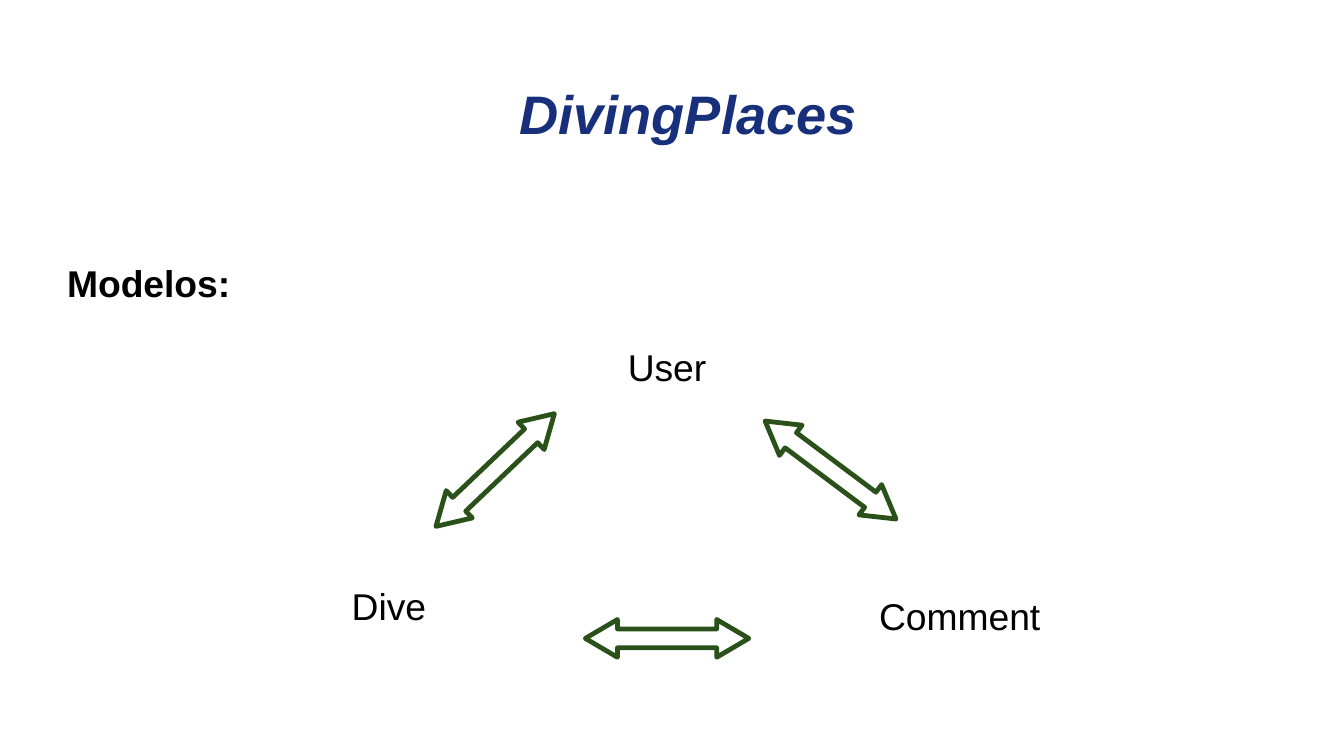
from pptx import Presentation
from pptx.dml.color import RGBColor
from pptx.enum.shapes import MSO_SHAPE
from pptx.enum.text import MSO_ANCHOR, MSO_AUTO_SIZE, PP_ALIGN
from pptx.util import Pt

NAVY = RGBColor(0x18, 0x2F, 0x7C)
GREEN = RGBColor(0x2B, 0x51, 0x1A)
BLACK = RGBColor(0, 0, 0)

CENTER = PP_ALIGN.CENTER
TOP, MIDDLE = MSO_ANCHOR.TOP, MSO_ANCHOR.MIDDLE
NO_AUTOFIT = MSO_AUTO_SIZE.NONE
DOUBLE_ARROW = MSO_SHAPE.LEFT_RIGHT_ARROW
TITLE_ONLY = 5

LABEL_SIZE = (175.7, 38.2)
ARROW_SIZE = (96.5, 22.3)

LABELS = [
    ("Modelos:", 0, 147.6, True),
    ("User", 306, 197.3, False),
    ("Dive", 141.8, 338.4, False),
    ("Comment", 478.8, 344.2, False),
]
ARROWS = [(345.6, 365.8, 0), (244.1, 266.4, 316.4), (442.1, 266.4, 36.8)]


class SlideBuilder:
    def __init__(self, page, font_name):
        self.page = page
        self.font_name = font_name

    def fill_text(self, box, text, anchor, margins, color, **font_values):
        """Fill a box with one centred paragraph."""
        frame = box.text_frame
        sides = ("margin_left", "margin_top", "margin_right", "margin_bottom")
        frame_values = {
            "word_wrap": True,
            "auto_size": NO_AUTOFIT,
            "vertical_anchor": anchor,
            **{side: Pt(margin) for side, margin in zip(sides, margins)},
        }
        for name, value in frame_values.items():
            setattr(frame, name, value)
        para = frame.paragraphs[0]
        para.alignment = CENTER
        span = para.add_run()
        span.text = text
        for name, value in {"name": self.font_name, **font_values}.items():
            setattr(span.font, name, value)
        span.font.color.rgb = color

    def title(self, text, left, top, width, height):
        box = self.page.shapes.title
        place = {"left": left, "top": top, "width": width, "height": height}
        for name, value in place.items():
            setattr(box, name, Pt(value))
        self.fill_text(box, text, TOP, (7.2, 3.6, 7.2, 3.6), NAVY,
                       size=Pt(32), bold=True, italic=True)

    def label(self, text, left, top, bold):
        box = self.page.shapes.add_textbox(
            Pt(left), Pt(top), *map(Pt, LABEL_SIZE))
        self.fill_text(box, text, MIDDLE, (0, 0, 0, 0), BLACK,
                       size=Pt(22), bold=bold)

    def double_arrow(self, left, top, rotation):
        arrow = self.page.shapes.add_shape(
            DOUBLE_ARROW, Pt(left), Pt(top), *map(Pt, ARROW_SIZE))
        arrow.adjustments[0] = 0.5
        arrow.adjustments[1] = 0.85
        arrow.rotation = rotation
        arrow.shadow.inherit = False
        arrow.fill.background()
        arrow.line.color.rgb = GREEN
        arrow.line.width = Pt(2.83)


def main():
    deck = Presentation()
    deck.slide_width, deck.slide_height = Pt(793.44), Pt(446.4)
    page = deck.slides.add_slide(deck.slide_layouts[TITLE_ONLY])
    builder = SlideBuilder(page, "Arial")
    builder.title("DivingPlaces", 277.9, 43.9, 257, 69.8)
    for label in LABELS:
        builder.label(*label)
    for arrow in ARROWS:
        builder.double_arrow(*arrow)
    deck.save("out.pptx")


if __name__ == "__main__":
    main()
